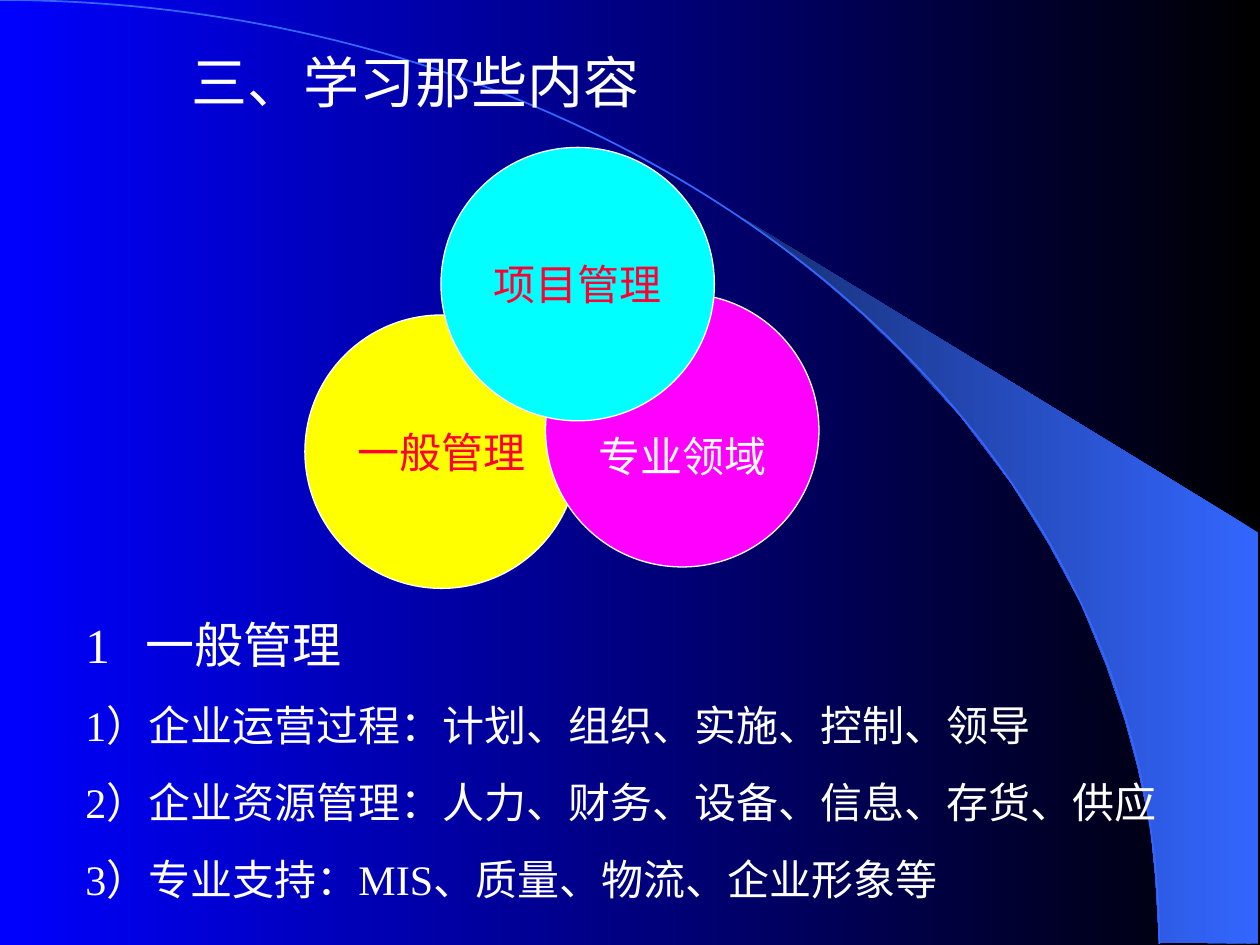
from lxml import etree
from pptx import Presentation
from pptx.dml.color import RGBColor
from pptx.enum.shapes import MSO_SHAPE as Preset
from pptx.enum.text import MSO_ANCHOR as Anchor, MSO_AUTO_SIZE as AutoSize, PP_ALIGN as Align
from pptx.oxml.ns import qn
from pptx.util import Inches, Pt


class Theme:
    font = "Times New Roman"
    title_size, heading_size, body_size = 32, 28, 24
    body_gap = 15
    black, blue, white = "000000", "0000FF", "FFFFFF"
    accent, accent_dark, red = "3366FF", "172F75", "FF0033"
    yellow, magenta, cyan = "FFFF00", "FF00FF", "00FFFF"


# Content
TITLE = "三、学习那些内容"
DIAMETER = 2.17
# label, left, top, fill, text colour, text drop; back to front
CIRCLES = [
    ("一般管理", 2.42, 2.5, Theme.yellow, Theme.red, 0),
    ("专业领域", 4.33, 2.33, Theme.magenta, Theme.white, 0.2),
    ("项目管理", 3.5, 1.17, Theme.cyan, Theme.red, 0),
]
HEADING = "1\t一般管理"
HEADING_TAB = 0.48
POINTS = [
    "1）企业运营过程：计划、组织、实施、控制、领导",
    "2）企业资源管理：人力、财务、设备、信息、存货、供应",
    "3）专业支持：MIS、质量、物流、企业形象等",
]
ARC_WIDTH, ARC_HEIGHT = 9.2, 7.49
WEDGE = [
    (9.2, 7.48), (9.99, 7.49), (9.99, 4.23), (5.89, 1.73), (6.24, 1.99), (6.53, 2.22),
    (6.85, 2.5), (7.16, 2.8), (7.62, 3.3), (8.03, 3.84), (8.32, 4.31), (8.58, 4.79),
    (8.78, 5.28), (8.93, 5.72), (9.03, 6.09), (9.13, 6.56), (9.17, 6.96),
]


def rgb(value):
    return RGBColor.from_string(value)


def fill_gradient(fill, start, end):
    """Run a gradient from start at the right to end at the left."""
    fill.gradient()
    fill.gradient_angle = 180
    for stop, color in zip(fill.gradient_stops, (start, end)):
        stop.color.rgb = rgb(color)


def style_text(paragraph, text, size, color=Theme.white):
    paragraph.text = text
    paragraph.font.name = Theme.font
    paragraph.font.size = Pt(size)
    paragraph.font.color.rgb = rgb(color)


def add_tab_stop(paragraph, position):
    tabs = etree.SubElement(paragraph._p.get_or_add_pPr(), qn("a:tabLst"))
    etree.SubElement(tabs, qn("a:tab"), pos=str(Inches(position)), algn="l")


def add_text_frame(slide, left, top, width, height):
    box = slide.shapes.add_textbox(Inches(left), Inches(top), Inches(width), Inches(height))
    frame = box.text_frame
    frame.word_wrap = True
    frame.auto_size = AutoSize.SHAPE_TO_FIT_TEXT
    return frame


def add_backdrop(slide):
    fill_gradient(slide.background.fill, Theme.black, Theme.blue)
    # Light wedge outside the curve
    points = [(Inches(x), Inches(y)) for x, y in WEDGE]
    builder = slide.shapes.build_freeform(*points[0])
    builder.add_line_segments(points[1:], close=True)
    wedge = builder.convert_to_shape()
    wedge.shadow.inherit = False
    fill_gradient(wedge.fill, Theme.accent, Theme.accent_dark)
    wedge.line.fill.background()
    # Quarter ellipse centred on the bottom left corner
    arc = slide.shapes.add_shape(
        Preset.ARC, Inches(-ARC_WIDTH), 0, Inches(2 * ARC_WIDTH), Inches(2 * ARC_HEIGHT))
    arc.shadow.inherit = False
    arc.fill.background()
    arc.line.color.rgb = rgb(Theme.accent)
    arc.line.width = Pt(1)


def add_circle(slide, label, left, top, fill, color, drop):
    circle = slide.shapes.add_shape(
        Preset.OVAL, Inches(left), Inches(top), Inches(DIAMETER), Inches(DIAMETER))
    circle.shadow.inherit = False
    circle.fill.solid()
    circle.fill.fore_color.rgb = rgb(fill)
    circle.line.color.rgb = rgb(Theme.white)
    circle.line.width = Pt(0.75)
    frame = circle.text_frame
    frame.word_wrap = False
    frame.vertical_anchor = Anchor.MIDDLE
    frame.margin_top = Inches(0.05 + 2 * drop)
    paragraph = frame.paragraphs[0]
    paragraph.alignment = Align.CENTER
    style_text(paragraph, label, Theme.body_size, color)


def main():
    presentation = Presentation()
    presentation.slide_width, presentation.slide_height = Inches(10), Inches(7.5)
    slide = presentation.slides.add_slide(presentation.slide_layouts[6])
    add_backdrop(slide)

    # Title
    title = add_text_frame(slide, 1.42, 0.33, 7.92, 0.64)
    style_text(title.paragraphs[0], TITLE, Theme.title_size)

    # Overlapping circles
    for circle in CIRCLES:
        add_circle(slide, *circle)

    # Heading and numbered points
    body = add_text_frame(slide, 0.58, 4.83, 9.08, 2.39)
    heading = body.paragraphs[0]
    add_tab_stop(heading, HEADING_TAB)
    style_text(heading, HEADING, Theme.heading_size)
    for point in POINTS:
        paragraph = body.add_paragraph()
        paragraph.space_before = Pt(Theme.body_gap)
        style_text(paragraph, point, Theme.body_size)

    presentation.save("out.pptx")


if __name__ == "__main__":
    main()
